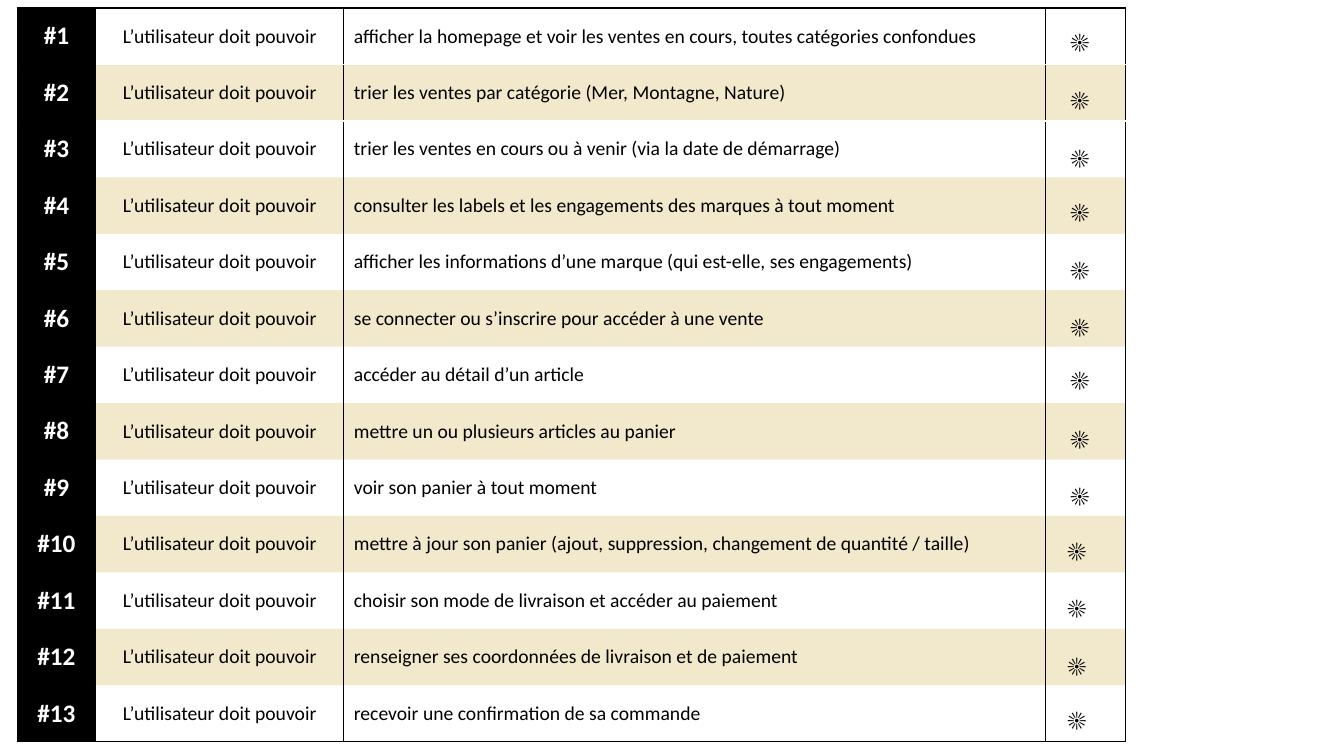
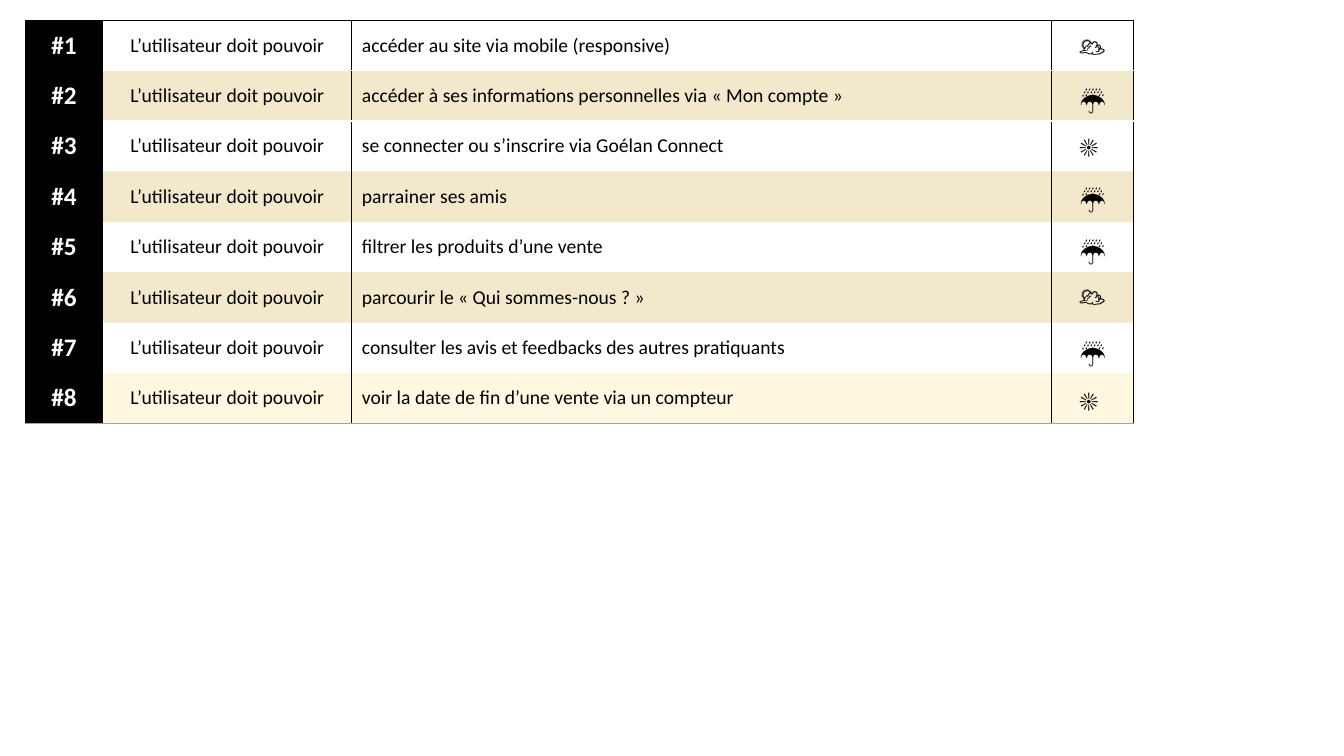
from dataclasses import dataclass
from typing import Optional

from lxml.etree import SubElement
from pptx import Presentation
from pptx.dml.color import RGBColor
from pptx.enum.text import MSO_ANCHOR, MSO_AUTO_SIZE, PP_ALIGN
from pptx.oxml.ns import qn
from pptx.slide import Slide
from pptx.table import _Cell
from pptx.util import Inches, Pt

BLACK = RGBColor(0x00, 0x00, 0x00)
WHITE = RGBColor(0xFF, 0xFF, 0xFF)
GREY = RGBColor(0xA5, 0xA5, 0xA5)
OCHRE = RGBColor(0xBF, 0x90, 0x00)
YELLOW = RGBColor(0xFF, 0xD9, 0x66)

FONT = "Calibri"
TINT_OPACITY = 20
BORDER_WIDTH = Pt(1)
SUBJECT = "L’utilisateur doit pouvoir"
SUN, CLOUD, UMBRELLA = "☀️", "⛅️", "☔️"


@dataclass(frozen=True)
class Requirement:
    text: str
    weather: str
    weather_top: float
    weather_shift: float = 0


@dataclass(frozen=True)
class Backlog:
    left: float
    top: float
    column_widths: tuple[float, ...]
    row_height: float
    weather_left: float
    closing_line: RGBColor
    last_tint: Optional[RGBColor]
    requirements: tuple[Requirement, ...]


BACKLOGS = (
    Backlog(
        0.17, 0.08, (0.78, 2.46, 6.96, 0.79), 0.56, 10.52, BLACK, None,
        (
            Requirement("afficher la homepage et voir les ventes en cours, toutes catégories confondues", SUN, 0.21),
            Requirement("trier les ventes par catégorie (Mer, Montagne, Nature)", SUN, 0.79),
            Requirement("trier les ventes en cours ou à venir (via la date de démarrage)", SUN, 1.36),
            Requirement("consulter les labels et les engagements des marques à tout moment", SUN, 1.9),
            Requirement("afficher les informations d’une marque (qui est-elle, ses engagements)", SUN, 2.47),
            Requirement("se connecter ou s’inscrire pour accéder à une vente", SUN, 3.04),
            Requirement("accéder au détail d’un article", SUN, 3.57),
            Requirement("mettre un ou plusieurs articles au panier", SUN, 4.15),
            Requirement("voir son panier à tout moment", SUN, 4.72),
            Requirement("mettre à jour son panier (ajout, suppression, changement de quantité / taille)", SUN, 5.26, -0.03),
            Requirement("choisir son mode de livraison et accéder au paiement", SUN, 5.83, -0.03),
            Requirement("renseigner ses coordonnées de livraison et de paiement", SUN, 6.4, -0.03),
            Requirement("recevoir une confirmation de sa commande", SUN, 6.94, -0.03),
        ),
    ),
    Backlog(
        0.25, 0.2, (0.77, 2.47, 6.94, 0.81), 0.5, 10.61, GREY, YELLOW,
        (
            Requirement("accéder au site via mobile (responsive)", CLOUD, 0.28),
            Requirement("accéder à ses informations personnelles via « Mon compte »", UMBRELLA, 0.78),
            Requirement("se connecter ou s’inscrire via Goélan Connect", SUN, 1.25),
            Requirement("parrainer ses amis", UMBRELLA, 1.76),
            Requirement("filtrer les produits d’une vente", UMBRELLA, 2.28),
            Requirement("parcourir le « Qui sommes-nous ? »", CLOUD, 2.76),
            Requirement("consulter les avis et feedbacks des autres pratiquants", UMBRELLA, 3.29),
            Requirement("voir la date de fin d’une vente via un compteur", SUN, 3.77),
        ),
    ),
)


def set_border(cell: _Cell, side: str, color: Optional[RGBColor]) -> None:
    """Draw one side (L, R, T or B, called in that order); None hides it."""
    line = SubElement(cell._tc.get_or_add_tcPr(), qn(f"a:ln{side}"), w=str(BORDER_WIDTH))
    if color is None:
        SubElement(line, qn("a:noFill"))
    else:
        fill = SubElement(line, qn("a:solidFill"))
        SubElement(fill, qn("a:srgbClr"), val=str(color))


def fill_cell(cell: _Cell, color: Optional[RGBColor], opacity: int = 100) -> None:
    if color is None:
        cell.fill.background()
        return
    cell.fill.solid()
    cell.fill.fore_color.rgb = color
    if opacity < 100:
        tone = cell._tc.tcPr.find(f"{qn('a:solidFill')}/{qn('a:srgbClr')}")
        SubElement(tone, qn("a:alpha"), val=str(opacity * 1000))


def write_cell(cell: _Cell, text: str, column: int) -> None:
    is_number = column == 0
    cell.text = text
    cell.vertical_anchor = MSO_ANCHOR.MIDDLE
    paragraph = cell.text_frame.paragraphs[0]
    paragraph.alignment = PP_ALIGN.CENTER if column < 2 else PP_ALIGN.LEFT
    paragraph.font.name = FONT
    paragraph.font.size = Pt(18 if is_number else 14)
    paragraph.font.bold = is_number
    paragraph.font.color.rgb = WHITE if is_number else BLACK


def row_line(backlog: Backlog, boundary: int, column: int) -> Optional[RGBColor]:
    """Colour of the horizontal line above the row with index boundary."""
    if boundary == 0:
        return BLACK
    if boundary == len(backlog.requirements):
        return backlog.closing_line
    if boundary <= 2:
        return WHITE if column else BLACK
    return None


def row_tint(backlog: Backlog, row: int) -> Optional[RGBColor]:
    if row == len(backlog.requirements) - 1:
        return backlog.last_tint
    return OCHRE if row % 2 else None


def add_requirements(slide: Slide, backlog: Backlog) -> None:
    row_count, column_count = len(backlog.requirements), len(backlog.column_widths)
    table = slide.shapes.add_table(
        row_count, column_count, Inches(backlog.left), Inches(backlog.top),
        Inches(sum(backlog.column_widths)), Inches(backlog.row_height * row_count),
    ).table
    table.first_row = table.horz_banding = False
    for column, width in zip(table.columns, backlog.column_widths):
        column.width = Inches(width)

    for row, requirement in enumerate(backlog.requirements):
        table.rows[row].height = Inches(backlog.row_height)
        texts = (f"#{row + 1}", SUBJECT, requirement.text)
        for column in range(column_count):
            cell = table.cell(row, column)
            set_border(cell, "L", None if column == 1 else BLACK)
            set_border(cell, "R", None if column == 0 else BLACK)
            set_border(cell, "T", row_line(backlog, row, column))
            set_border(cell, "B", row_line(backlog, row + 1, column))
            if column == 0:
                fill_cell(cell, BLACK)
            else:
                fill_cell(cell, row_tint(backlog, row), TINT_OPACITY)
            if column < len(texts):
                write_cell(cell, texts[column], column)


def add_weather(slide: Slide, backlog: Backlog, requirement: Requirement) -> None:
    frame = slide.shapes.add_textbox(
        Inches(backlog.weather_left + requirement.weather_shift),
        Inches(requirement.weather_top), Inches(0.45), Inches(0.4),
    ).text_frame
    frame.word_wrap = False
    frame.auto_size = MSO_AUTO_SIZE.SHAPE_TO_FIT_TEXT
    frame.text = requirement.weather
    font = frame.paragraphs[0].font
    font.name = FONT
    font.size = Pt(18)
    font.color.rgb = BLACK


def main() -> None:
    presentation = Presentation()
    presentation.slide_width = Inches(13.33)
    presentation.slide_height = Inches(7.5)
    for backlog in BACKLOGS:
        slide = presentation.slides.add_slide(presentation.slide_layouts[6])
        add_requirements(slide, backlog)
        for requirement in backlog.requirements:
            add_weather(slide, backlog, requirement)
    presentation.save("out.pptx")


if __name__ == "__main__":
    main()
